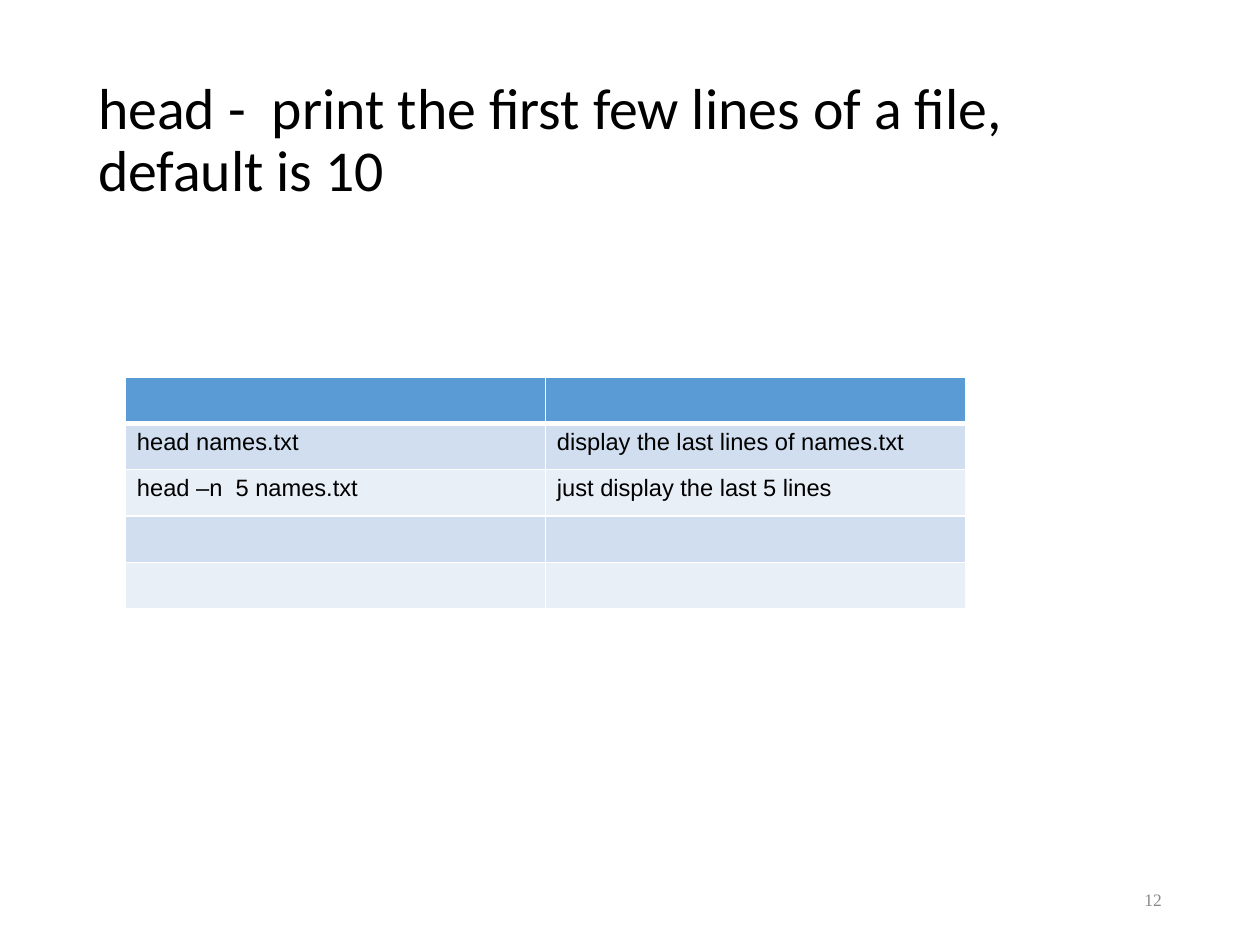
from lxml.etree import SubElement
from pptx import Presentation
from pptx.dml.color import RGBColor
from pptx.enum.text import MSO_ANCHOR as Anchor, PP_ALIGN as Align
from pptx.oxml.ns import qn
from pptx.util import Cm, Pt

# The slide is a grid of 28 columns and 21 rows, each one centimetre
GRID_COLUMNS, GRID_ROWS = 28, 21
TABLE_LEFT, TABLE_TOP = 2.79, 8.38
COLUMN_WIDTH, ROW_HEIGHT = GRID_COLUMNS / 3, 1.03

BLACK = RGBColor(0x00, 0x00, 0x00)
GREY = RGBColor(0x88, 0x88, 0x88)
WHITE = RGBColor(0xFF, 0xFF, 0xFF)
HEADER_BLUE = RGBColor(0x5B, 0x9B, 0xD5)
BAND_COLORS = (RGBColor(0xE9, 0xEF, 0xF7), RGBColor(0xD0, 0xDE, 0xEF))

COMMANDS = [
    ("", ""),
    ("head names.txt", "display the last lines of names.txt"),
    ("head –n  5 names.txt", "just display the last 5 lines"),
    ("", ""),
    ("", ""),
]


def format_runs(paragraph, font_name, size, color):
    for run in paragraph.runs:
        run.font.name = font_name
        run.font.size = Pt(size)
        run.font.color.rgb = color


def add_text(slide, text, left, top, width, height, font_name, size, color,
             align=Align.LEFT, line_spacing=1.0):
    """Place a text box, measured in grid columns and rows."""
    box = slide.shapes.add_textbox(Cm(left), Cm(top), Cm(width), Cm(height))
    text_frame = box.text_frame
    text_frame.word_wrap = True
    text_frame.vertical_anchor = Anchor.MIDDLE
    text_frame.text = text
    paragraph = text_frame.paragraphs[0]
    paragraph.alignment = align
    paragraph.line_spacing = line_spacing
    format_runs(paragraph, font_name, size, color)


def set_borders(cell, top_width, bottom_width):
    properties = cell._tc.get_or_add_tcPr()
    widths = {"lnL": 1, "lnR": 1, "lnT": top_width, "lnB": bottom_width}
    for side, width in widths.items():
        line = SubElement(properties, qn(f"a:{side}"), w=str(Pt(width)))
        fill = SubElement(line, qn("a:solidFill"))
        SubElement(fill, qn("a:srgbClr"), val=str(WHITE))


def add_command_table(slide, rows):
    row_count, column_count = len(rows), len(rows[0])
    table = slide.shapes.add_table(
        row_count, column_count, Cm(TABLE_LEFT), Cm(TABLE_TOP),
        Cm(column_count * COLUMN_WIDTH), Cm(row_count * ROW_HEIGHT)).table
    for row_index, texts in enumerate(rows):
        is_header = row_index == 0
        for column_index, text in enumerate(texts):
            cell = table.cell(row_index, column_index)
            # The line under the header is thicker
            set_borders(cell, top_width=3 if row_index == 1 else 1,
                        bottom_width=3 if is_header else 1)
            cell.fill.solid()
            cell.fill.fore_color.rgb = (
                HEADER_BLUE if is_header else BAND_COLORS[row_index % 2])
            if text:
                cell.text_frame.text = text
                format_runs(cell.text_frame.paragraphs[0], "Arial", 14.9, BLACK)


def main():
    presentation = Presentation()
    presentation.slide_width = Cm(GRID_COLUMNS)
    presentation.slide_height = Cm(GRID_ROWS)
    slide = presentation.slides.add_slide(presentation.slide_layouts[6])

    # Title
    add_text(slide, "head -  print the first few lines of a file, default is 10",
             1.93, 1.12, 24.15, 4.06, "Calibri", 36.4, BLACK,
             line_spacing=0.9)
    # Page number
    add_text(slide, "12", 19.77, 19.43, 6.3, 1.11,
             "Times New Roman", 11, GREY, align=Align.RIGHT)
    # Commands and their meaning
    add_command_table(slide, COMMANDS)

    presentation.save("out.pptx")


if __name__ == "__main__":
    main()
